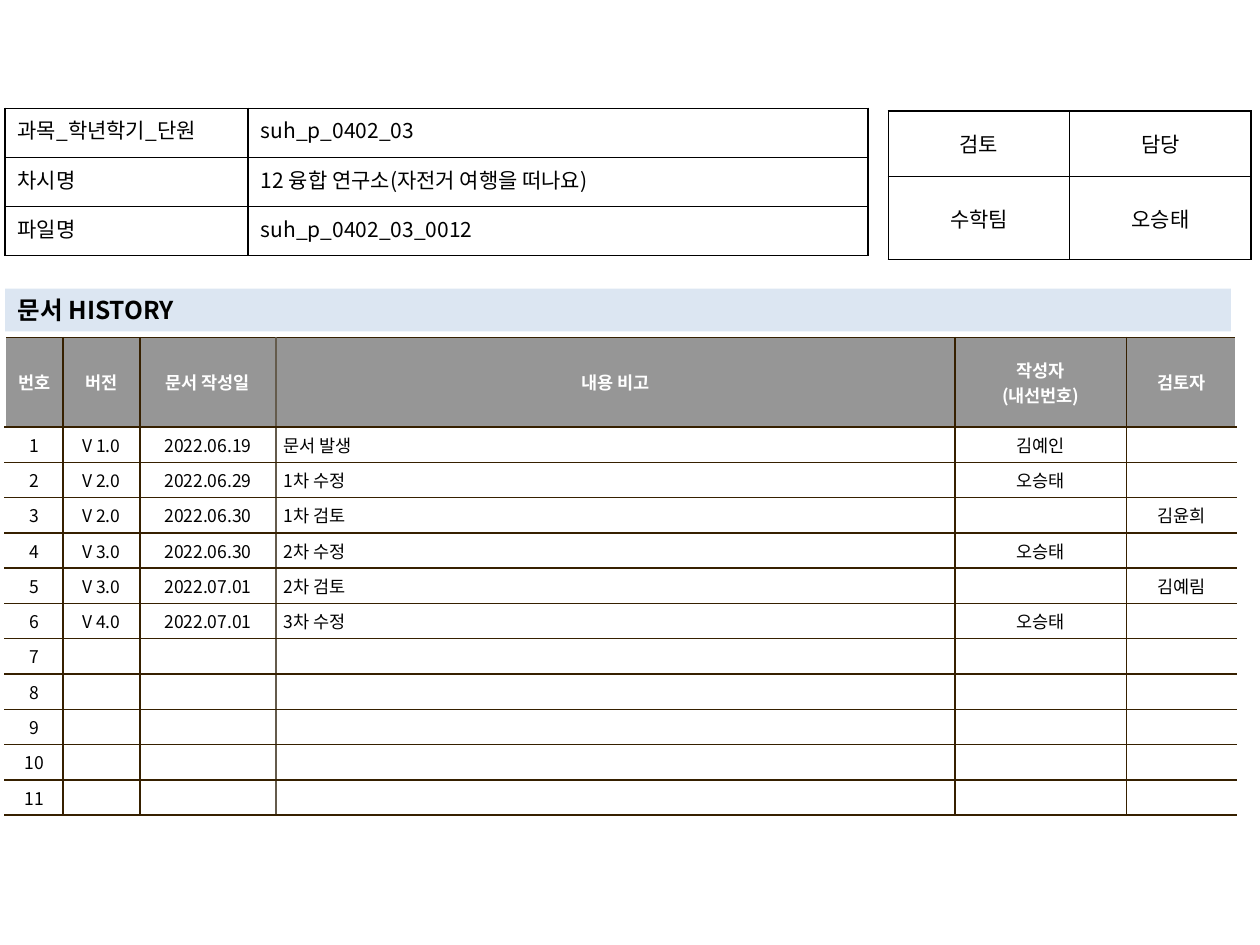
from dataclasses import dataclass

from lxml.etree import SubElement
from pptx import Presentation
from pptx.dml.color import RGBColor as Rgb
from pptx.enum.text import MSO_ANCHOR as Anchor, MSO_AUTO_SIZE as Fit, PP_ALIGN as Align
from pptx.oxml.ns import qn
from pptx.util import Inches, Pt


@dataclass(frozen=True)
class Theme:
    font: str = "Noto Sans CJK KR"
    ink: str = "000000"
    white: str = "FFFFFF"
    head: str = "969696"
    band: str = "DCE6F2"
    rule: str = "362000"
    soft: str = "645B4C"
    small: int = 10
    mid: int = 12
    large: int = 14


THEME = Theme()

INFO = [
    ("과목_학년학기_단원", "suh_p_0402_03"),
    ("차시명", "12 융합 연구소(자전거 여행을 떠나요)"),
    ("파일명", "suh_p_0402_03_0012"),
]
SIGN = [("검토", "담당"), ("수학팀", "오승태")]
HEADS = ("번호", "버전", "문서 작성일", "내용 비고", "작성자\n(내선번호)", "검토자")
LOG = [
    ("V 1.0", "2022.06.19", "문서 발생", "김예인", ""),
    ("V 2.0", "2022.06.29", "1차 수정", "오승태", ""),
    ("V 2.0", "2022.06.30", "1차 검토", "", "김윤희"),
    ("V 3.0", "2022.06.30", "2차 수정", "오승태", ""),
    ("V 3.0", "2022.07.01", "2차 검토", "", "김예림"),
    ("V 4.0", "2022.07.01", "3차 수정", "오승태", ""),
]
LINES = 11
DATE, NOTE, CHECK = 2, 3, 5
HANG = {NOTE: 0.19, CHECK: 0.09}


def write(frame, text, size=THEME.mid, color=THEME.ink, bold=False,
          align=Align.LEFT, hang=0):
    """Fill a text frame, one paragraph per line of text."""
    for i, line in enumerate(text.split("\n")):
        para = frame.add_paragraph() if i else frame.paragraphs[0]
        para.alignment = align
        if hang:
            props = para._p.get_or_add_pPr()
            props.set("marL", str(Inches(hang)))
            props.set("indent", str(-Inches(hang)))
        if not line:
            # An empty cell keeps its row low only with a small end mark.
            SubElement(para._p, qn("a:endParaRPr"), sz=str(size * 100))
            continue
        run = para.add_run()
        run.text = line
        font = run.font
        font.size, font.bold, font.name = Pt(size), bold, THEME.font
        font.color.rgb = Rgb.from_string(color)
        SubElement(font._element, qn("a:ea"), typeface=THEME.font)


def edge(cell, **sides):
    """Draw 1 pt borders; sides are L, R, T, B in that order."""
    props = cell._tc.get_or_add_tcPr()
    for side, color in sides.items():
        line = SubElement(props, qn("a:ln" + side), w=str(Pt(1)))
        fill = SubElement(line, qn("a:solidFill"))
        SubElement(fill, qn("a:srgbClr"), val=color)


def inset(cell, wide, high):
    cell.margin_left = cell.margin_right = Inches(wide)
    cell.margin_top = cell.margin_bottom = Inches(high)


def grid(slide, left, top, cols, rows):
    """Add a plain table with the given column widths and row heights."""
    table = slide.shapes.add_table(
        len(rows), len(cols), Inches(left), Inches(top),
        Inches(sum(cols)), Inches(sum(rows))).table
    table.first_row = table.horz_banding = False
    for col, width in zip(table.columns, cols):
        col.width = Inches(width)
    for row, height in zip(table.rows, rows):
        row.height = Inches(height)
    return table


def form(slide, left, top, cols, rows, data, aligns, anchor):
    """Add a small boxed table without fill."""
    table = grid(slide, left, top, cols, rows)
    for r, texts in enumerate(data):
        for c, text in enumerate(texts):
            cell = table.cell(r, c)
            edge(cell, **dict.fromkeys("LRTB", THEME.ink))
            cell.fill.background()
            cell.vertical_anchor = anchor
            inset(cell, 0.1, 0.05)
            write(cell.text_frame, text, align=aligns[c])


def banner(slide, text):
    title = slide.shapes.title
    title.left, title.top = Inches(0.04), Inches(2.29)
    title.width, title.height = Inches(9.73), Inches(0.34)
    title.fill.solid()
    title.fill.fore_color.rgb = Rgb.from_string(THEME.band)
    frame = title.text_frame
    frame.auto_size = Fit.NONE
    frame.vertical_anchor = Anchor.MIDDLE
    write(frame, text, size=THEME.large, bold=True)


def history(slide):
    cols = [0.46, 0.61, 1.08, 5.39, 1.36, 0.87]
    table = grid(slide, 0.04, 2.68, cols, [0.71] + [0.25] * LINES)
    blank = ("",) * (len(cols) - 1)
    logs = LOG + [blank] * (LINES - len(LOG))
    data = [HEADS] + [(str(n), *log) for n, log in enumerate(logs, 1)]
    last = len(cols) - 1
    for r, texts in enumerate(data):
        head = r == 0
        for c, text in enumerate(texts):
            cell = table.cell(r, c)
            sides = {}
            if c > 0:
                sides["L"] = THEME.soft if c == NOTE else THEME.rule
            if c < last:
                sides["R"] = THEME.soft if c == DATE else THEME.rule
            edge(cell, **sides, T=THEME.rule, B=THEME.rule)
            cell.fill.solid()
            cell.fill.fore_color.rgb = Rgb.from_string(
                THEME.head if head else THEME.white)
            cell.vertical_anchor = Anchor.MIDDLE
            inset(cell, 0.06, 0.04)
            write(cell.text_frame, text, size=THEME.small, bold=head,
                  color=THEME.white if head else THEME.ink,
                  align=Align.LEFT if c == NOTE and not head else Align.CENTER,
                  hang=0 if head else HANG.get(c, 0))


def main():
    deck = Presentation()
    deck.slide_width, deck.slide_height = Inches(10), Inches(7.5)
    slide = deck.slides.add_slide(deck.slide_layouts[5])
    history(slide)
    form(slide, 7.05, 0.88, [1.44] * 2, [0.52, 0.66], SIGN,
         [Align.CENTER] * 2, Anchor.MIDDLE)
    banner(slide, "문서 HISTORY")
    form(slide, 0.04, 0.86, [1.93, 4.92], [0.39] * 3, INFO,
         [Align.JUSTIFY, Align.LEFT], Anchor.TOP)
    deck.save("out.pptx")


if __name__ == "__main__":
    main()
